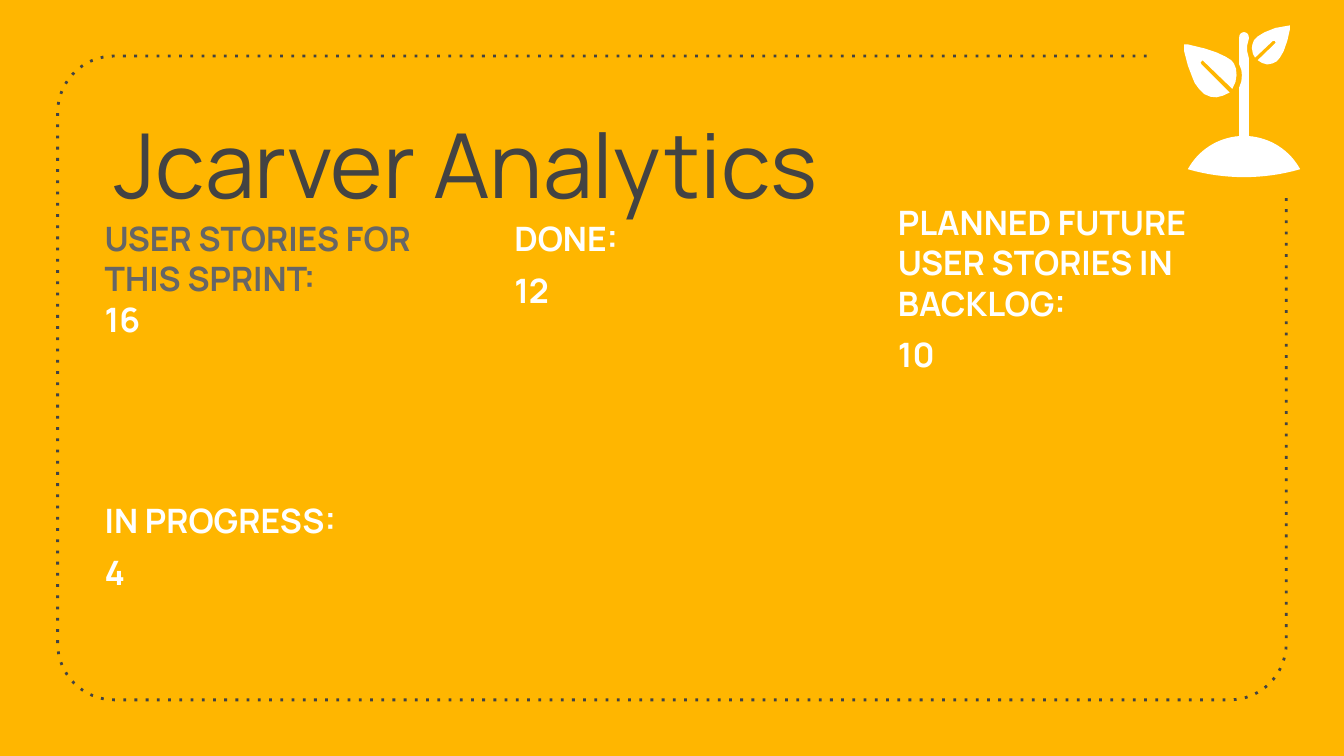
import math
from dataclasses import dataclass

import pptx
import pptx.dml.color
import pptx.enum.dml
import pptx.enum.text
import pptx.oxml.ns
import pptx.util

Cm = pptx.util.Cm
Pt = pptx.util.Pt


@dataclass(frozen=True)
class Theme:
    """Colours, font and type sizes of the slide."""
    background: str = "FFB600"
    dark: str = "434343"
    muted: str = "666666"
    light: str = "FFFFFF"
    font: str = "Manrope"
    title_size: float = 48
    body_size: float = 18
    gap: float = 6
    line_height: float = 21.6


THEME = Theme()


def rgb(value):
    """Return the colour object for a hex string."""
    return pptx.dml.color.RGBColor.from_string(value)


def arc(x, y, radius, start, end, steps=16):
    """Return points on a circular arc, with angles in degrees clockwise."""
    angles = [math.radians(start + (end - start) * step / steps) for step in range(steps + 1)]
    return [(x + radius * math.cos(angle), y + radius * math.sin(angle)) for angle in angles]


def add_outline(shapes, points, closed):
    """Draw a freeform through points given in centimetres."""
    corners = [(Cm(x), Cm(y)) for x, y in points]
    builder = shapes.build_freeform(*corners[0])
    builder.add_line_segments(corners[1:], close=closed)
    shape = builder.convert_to_shape()
    shape.shadow.inherit = False
    return shape


def add_frame(page):
    """Draw the dotted rounded frame, open at its top right corner."""
    left, top, right, bottom, radius = 1.09, 1.06, 24.31, 13.23, 1.07
    points = [(21.67, top)]
    points += arc(left + radius, top + radius, radius, 270, 180)
    points += arc(left + radius, bottom - radius, radius, 180, 90)
    points += arc(right - radius, bottom - radius, radius, 90, 0)
    points.append((right, 3.71))
    frame = add_outline(page.shapes, points, closed=False)
    frame.fill.background()
    frame.line.color.rgb = rgb(THEME.dark)
    frame.line.width = Pt(1.5)
    frame.line.dash_style = pptx.enum.dml.MSO_LINE.ROUND_DOT
    dash = next(frame.element.iter(pptx.oxml.ns.qn("a:prstDash")))
    dash.set("val", "dot")


def add_sapling(page):
    """Draw the sapling as a group of two leaves and a stem on a mound."""
    small_leaf = [
        (24.38, 0.48), (24.1, 0.53), (23.9, 0.61), (23.77, 0.69), (23.7, 0.76),
        (23.67, 0.84), (23.66, 0.91), (23.68, 1.02), (23.72, 1.09), (24.05, 0.78),
        (24.09, 0.77), (24.11, 0.81), (23.77, 1.14), (23.85, 1.19), (23.95, 1.22),
        (24.05, 1.2), (24.13, 1.16), (24.19, 1.09), (24.26, 0.97), (24.33, 0.77),
        (24.38, 0.55)]
    stem = [(23.42, 1.65), (23.46, 1.54), (23.47, 1.42), (23.46, 1.32), (23.42, 1.22)]
    stem += arc(23.51, 0.7, 0.09, 180, 360)
    stem += [(23.6, 0.74), (23.57, 0.86), (23.57, 0.97), (23.6, 1.09)]
    mound_and_stem = (arc(23.51, 3.78, 1.21, 208.6, 265.7) + stem
                      + arc(23.51, 3.78, 1.21, 274.3, 331.4)
                      + arc(23.51, -0.47, 3.82, 73.9, 106.1))
    large_leaf = [
        (22.38, 0.84), (22.38, 0.97), (22.45, 1.24), (22.53, 1.45), (22.58, 1.57),
        (22.66, 1.68), (22.76, 1.78), (22.88, 1.83), (22.99, 1.84), (23.11, 1.81),
        (23.24, 1.75), (22.71, 1.22), (22.69, 1.18), (22.73, 1.14), (22.76, 1.17),
        (23.29, 1.68), (23.35, 1.55), (23.37, 1.42), (23.36, 1.3), (23.32, 1.2),
        (23.27, 1.14), (23.16, 1.07), (22.99, 0.99), (22.78, 0.92), (22.45, 0.84)]
    group = page.shapes.add_group_shape()
    for points in (small_leaf, mound_and_stem, large_leaf):
        part = add_outline(group.shapes, points, closed=True)
        part.fill.solid()
        part.fill.fore_color.rgb = rgb(THEME.light)
        part.line.fill.background()


def write(para, text, *, size=THEME.body_size, color=THEME.light, bold=True, before=THEME.gap):
    """Write formatted text into a paragraph."""
    para.alignment = pptx.enum.text.PP_ALIGN.LEFT
    para.space_before = Pt(before)
    span = para.add_run()
    span.text = text
    span.font.name = THEME.font
    span.font.size = Pt(size)
    span.font.bold = bold
    span.font.color.rgb = rgb(color)


def prepare(frame, anchor):
    """Set wrapping, margins and anchor of a text frame."""
    frame.word_wrap = True
    frame.auto_size = pptx.enum.text.MSO_AUTO_SIZE.NONE
    frame.vertical_anchor = anchor
    frame.margin_left = frame.margin_right = Cm(0.25)
    frame.margin_top = frame.margin_bottom = Cm(0.25)


def add_title(page, text):
    """Place and fill the title placeholder."""
    title = page.shapes.title
    title.left, title.top, title.width, title.height = Cm(1.91), Cm(1.12), Cm(21.59), Cm(3.23)
    prepare(title.text_frame, pptx.enum.text.MSO_ANCHOR.BOTTOM)
    write(title.text_frame.paragraphs[0], text, size=THEME.title_size,
          color=THEME.dark, bold=False, before=0)


def add_column(page, left, top, width, entries):
    """Add a column with one paragraph for each text and format pair."""
    box = page.shapes.add_textbox(Cm(left), Cm(top), Cm(width), Cm(10.36))
    prepare(box.text_frame, pptx.enum.text.MSO_ANCHOR.TOP)
    for index, (text, style) in enumerate(entries):
        para = box.text_frame.add_paragraph() if index else box.text_frame.paragraphs[0]
        write(para, text, **style)


def main():
    """Build the slide and save it."""
    deck = pptx.Presentation()
    deck.slide_width, deck.slide_height = Cm(25.4), Cm(14.29)
    page = deck.slides.add_slide(deck.slide_layouts[5])
    page.background.fill.solid()
    page.background.fill.fore_color.rgb = rgb(THEME.background)

    add_frame(page)
    add_title(page, "Jcarver Analytics")
    add_sapling(page)
    add_column(page, 1.73, 3.87, 6.65, [
        ("USER STORIES FOR THIS SPRINT:", {"color": THEME.muted}),
        ("16", {"before": 0}),
        ("IN PROGRESS:", {"before": 4 * THEME.line_height}),
        ("4", {})])
    add_column(page, 9.47, 3.87, 6.48, [("DONE:", {}), ("12", {})])
    add_column(page, 16.72, 3.57, 6.48, [
        ("PLANNED FUTURE USER STORIES IN BACKLOG:", {}), ("10", {})])
    deck.save("out.pptx")


if __name__ == "__main__":
    main()
